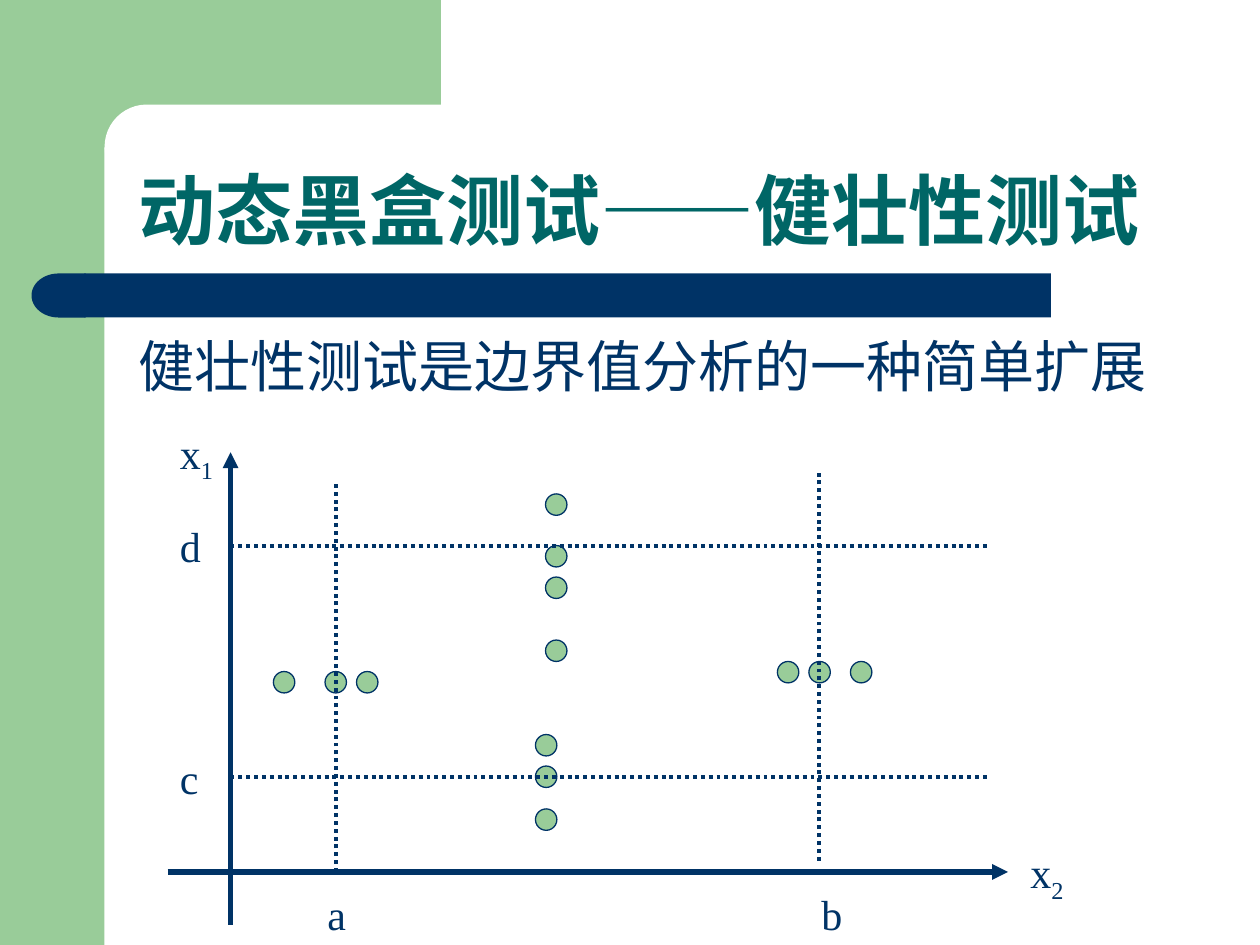
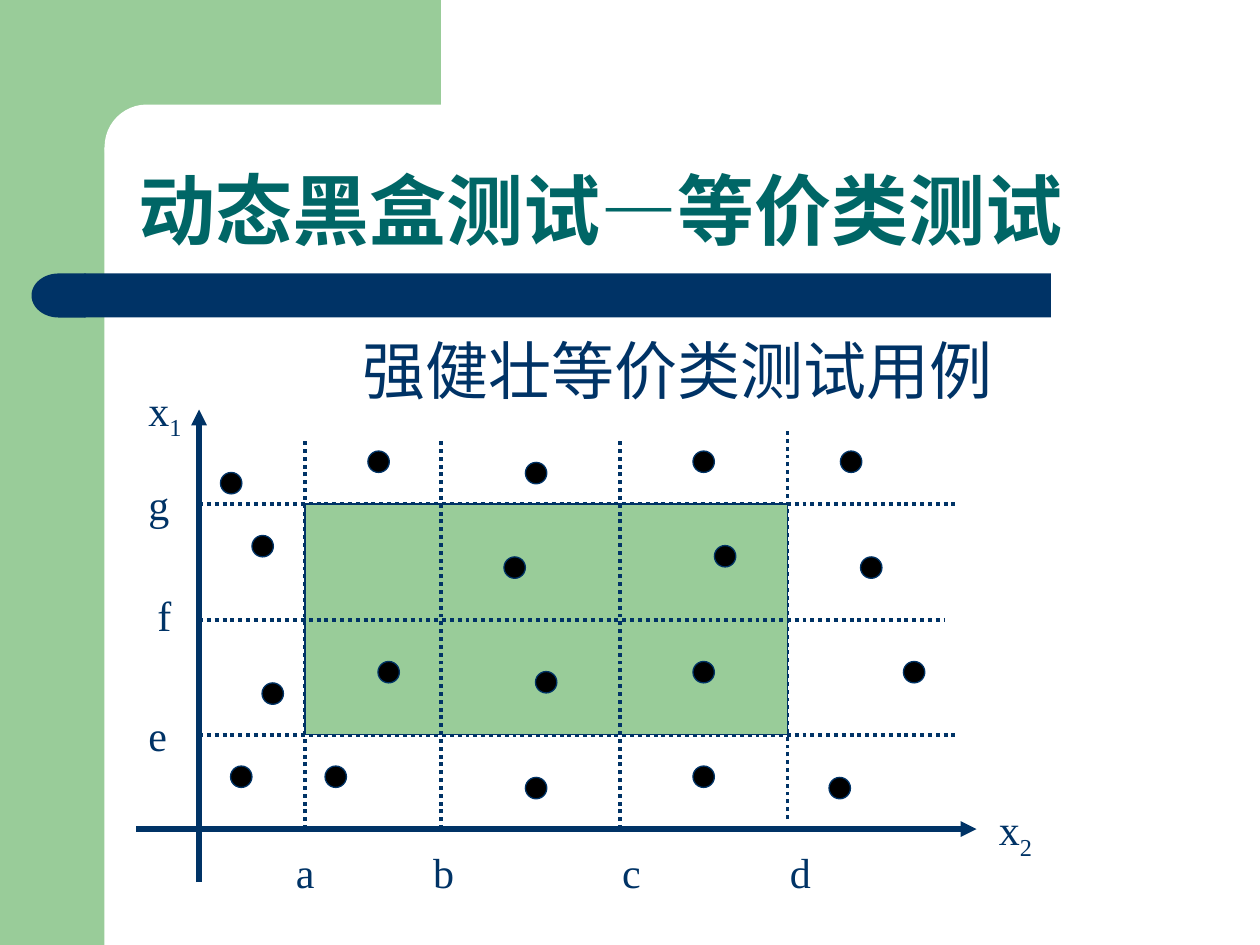
from lxml.etree import SubElement
from pptx import Presentation
from pptx.dml.color import RGBColor
from pptx.enum.dml import MSO_LINE
from pptx.enum.shapes import MSO_CONNECTOR, MSO_SHAPE
from pptx.enum.text import MSO_ANCHOR, PP_ALIGN
from pptx.oxml.ns import qn
from pptx.util import Inches, Pt

COLORS = {
    "green": "99CC99",
    "navy": "003366",
    "teal": "006666",
    "white": "FFFFFF",
    "black": "000000",
}
DOT_SIZE = 0.17

# Shared decoration: preset shape, box, colour
BANDS = [
    (MSO_SHAPE.RECTANGLE, (0, 0, 0.83, 7.5), "green"),
    (MSO_SHAPE.RECTANGLE, (0.75, 0, 2.75, 1.17), "green"),
    (MSO_SHAPE.ROUNDED_RECTANGLE, (0.83, 0.83, 5.58, 0.67), "white"),
    (MSO_SHAPE.RECTANGLE, (0.67, 2.17, 7.67, 0.35), "navy"),
    (MSO_SHAPE.FLOWCHART_DELAY, (0.25, 2.17, 0.43, 0.35), "navy"),
]

# Diagrams: guide lines are (x1, y1, x2, y2), dots are (left, top)
DIAGRAMS = [
    {
        "title": "动态黑盒测试——健壮性测试",
        "subtitle": "健壮性测试是边界值分析的一种简单扩展",
        "subtitle_size": 32,
        "subtitle_align": PP_ALIGN.LEFT,
        "origin": (1.83, 6.92),
        "back_guides": [],
        "zone": None,
        "dot_color": "green",
        "dots": [
            (4.33, 3.92), (4.33, 4.33), (4.33, 4.58), (4.33, 5.08),
            (4.25, 5.83), (4.25, 6.08), (4.25, 6.42),
            (2.17, 5.33), (2.58, 5.33), (2.83, 5.33),
            (6.17, 5.25), (6.42, 5.25), (6.75, 5.25),
        ],
        "front_guides": [
            (1.83, 6.17, 7.83, 6.17), (1.83, 4.33, 7.83, 4.33),
            (2.67, 6.92, 2.67, 3.83), (6.5, 6.83, 6.5, 3.75),
        ],
        "labels": [("a", 2.5, 7), ("b", 6.42, 7),
                   ("c", 1.33, 5.92), ("d", 1.33, 4.08)],
    },
    {
        "title": "动态黑盒测试—等价类测试",
        "subtitle": "强健壮等价类测试用例",
        "subtitle_size": 36,
        "subtitle_align": PP_ALIGN.CENTER,
        "origin": (1.58, 6.58),
        "back_guides": [
            (1.58, 5.83, 7.58, 5.83), (1.58, 4, 7.58, 4),
            (2.42, 6.58, 2.42, 3.5), (6.25, 6.5, 6.25, 3.42),
        ],
        "zone": (2.42, 4, 3.83, 1.83),
        "dot_color": "black",
        "dots": [
            (1.75, 3.75), (2.92, 3.58), (4.17, 3.67), (5.5, 3.58), (6.67, 3.58),
            (2, 4.25), (4, 4.42), (5.67, 4.33), (6.83, 4.42),
            (2.08, 5.42), (3, 5.25), (4.25, 5.33), (5.5, 5.25), (7.17, 5.25),
            (1.83, 6.08), (2.58, 6.08), (4.17, 6.17), (5.5, 6.08), (6.58, 6.17),
        ],
        "front_guides": [
            (3.5, 6.58, 3.5, 3.5), (4.92, 6.58, 4.92, 3.5),
            (1.58, 4.92, 7.5, 4.92),
        ],
        "labels": [("a", 2.25, 6.67), ("b", 3.34, 6.67), ("c", 4.84, 6.67),
                   ("d", 6.17, 6.67), ("e", 1.08, 5.58), ("f", 1.15, 4.63),
                   ("g", 1.08, 3.75)],
    },
]


def add_filled(slide, preset, box, fill, outlined=False):
    shape = slide.shapes.add_shape(preset, *map(Inches, box))
    shape.shadow.inherit = False
    shape.fill.solid()
    shape.fill.fore_color.rgb = RGBColor.from_string(COLORS[fill])
    if outlined:
        shape.line.color.rgb = RGBColor.from_string(COLORS["navy"])
        shape.line.width = Pt(0.75)
    else:
        shape.line.fill.background()
    return shape


def add_text(slide, box, text, size, font="Times New Roman", color="navy"):
    text_frame = slide.shapes.add_textbox(*map(Inches, box)).text_frame
    text_frame.word_wrap = True
    text_frame.text = text
    paragraph = text_frame.paragraphs[0]
    run_font = paragraph.runs[0].font
    run_font.name = font
    run_font.size = Pt(size)
    run_font.color.rgb = RGBColor.from_string(COLORS[color])
    return text_frame, paragraph


presentation = Presentation()
presentation.slide_width = Inches(10)
presentation.slide_height = Inches(7.5)

for diagram in DIAGRAMS:
    slide = presentation.slides.add_slide(presentation.slide_layouts[6])

    # Corner panel and title bar
    for preset, box, color in BANDS:
        band = add_filled(slide, preset, box, color)
        if preset == MSO_SHAPE.ROUNDED_RECTANGLE:
            band.adjustments[0] = 0.5
        elif preset == MSO_SHAPE.FLOWCHART_DELAY:
            band.rotation = 180

    # Title and subtitle
    text_frame, paragraph = add_text(slide, (1, 0.83, 8.75, 1.25),
                                     diagram["title"], 44, "Arial", "teal")
    text_frame.vertical_anchor = MSO_ANCHOR.BOTTOM
    paragraph.line_spacing = 0.9
    paragraph.runs[0].font.bold = True
    text_frame, paragraph = add_text(slide, (1, 2.58, 8.75, 4.08), diagram["subtitle"],
                                     diagram["subtitle_size"], "Arial")
    paragraph.alignment = diagram["subtitle_align"]

    # Axes, guides, valid zone and test points, from back to front
    x, y = diagram["origin"]
    axes = [(x - 0.5, y, x + 6.17, y), (x, y + 0.42, x, y - 3.33)]
    for group in (axes, diagram["back_guides"], "points", diagram["front_guides"]):
        if group == "points":
            if diagram["zone"]:
                add_filled(slide, MSO_SHAPE.RECTANGLE, diagram["zone"], "green", True)
            for left, top in diagram["dots"]:
                add_filled(slide, MSO_SHAPE.OVAL, (left, top, DOT_SIZE, DOT_SIZE),
                           diagram["dot_color"], True)
            continue
        for ends in group:
            connector = slide.shapes.add_connector(MSO_CONNECTOR.STRAIGHT,
                                                   *map(Inches, ends))
            connector.line.color.rgb = RGBColor.from_string(COLORS["navy"])
            if group is axes:
                connector.line.width = Pt(3)
                SubElement(connector.line._get_or_add_ln(), qn("a:tailEnd"),
                           type="triangle")
            else:
                connector.line.width = Pt(2.25)
                connector.line.dash_style = MSO_LINE.ROUND_DOT
            SubElement(connector._element.spPr, qn("a:effectLst"))

    # Boundary labels
    for letter, left, top in diagram["labels"]:
        add_text(slide, (left, top, 0.33, 0.5), letter, 24)

    # Axis names with subscripts
    for digit, left, top in (("1", x - 0.5, y - 3.58), ("2", x + 6.25, y - 0.25)):
        text_frame, paragraph = add_text(slide, (left, top, 0.67, 0.56), "x", 24)
        subscript = paragraph.add_run()
        subscript.text = digit
        subscript.font.name = "Times New Roman"
        subscript.font.size = Pt(24)
        subscript.font.color.rgb = RGBColor.from_string(COLORS["navy"])
        subscript._r.get_or_add_rPr().set("baseline", "-25000")

presentation.save("out.pptx")
